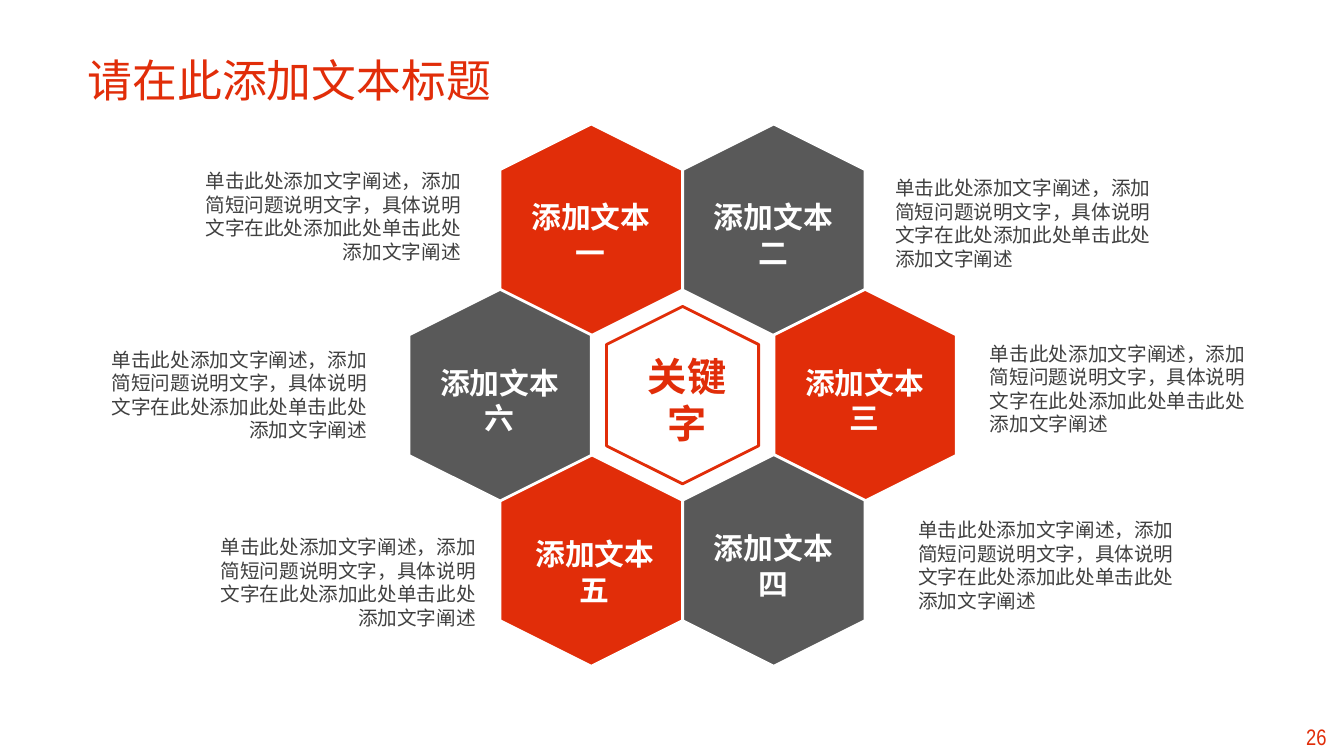
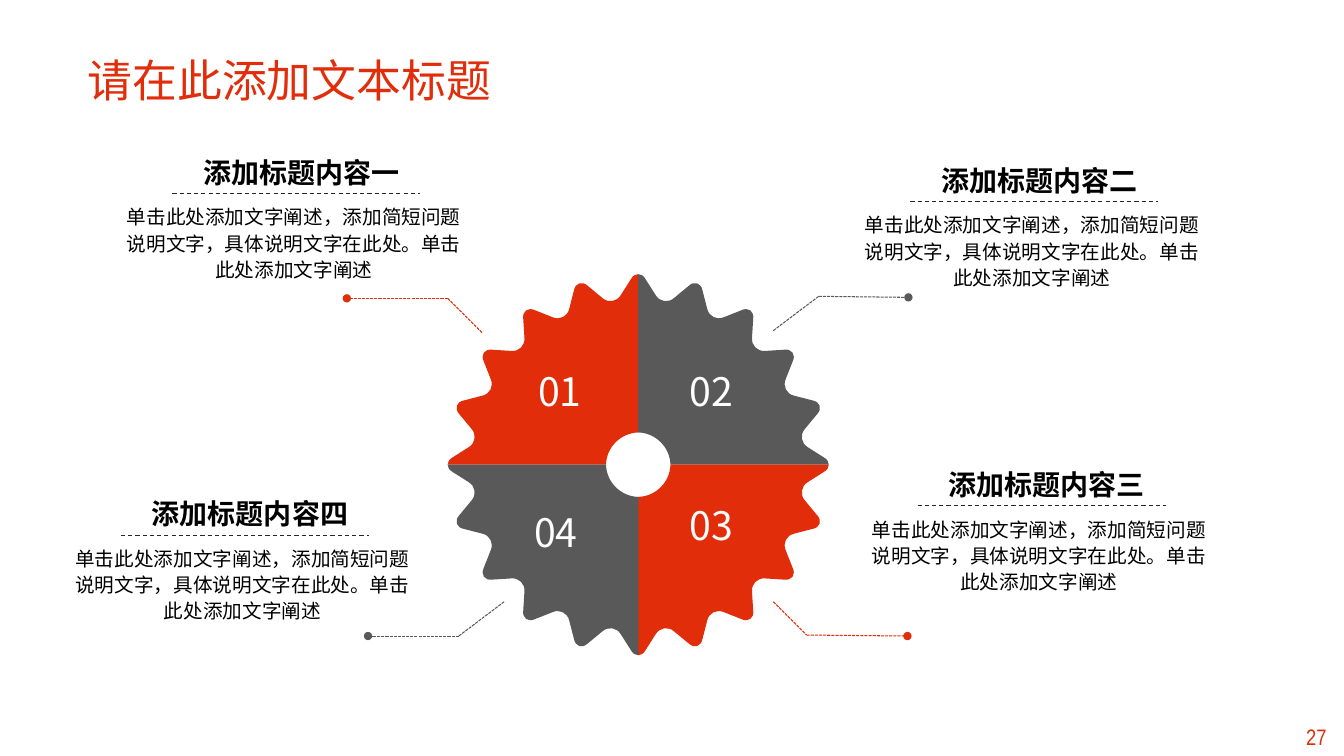
from math import cos, radians, sin

from lxml import etree
from pptx import Presentation
from pptx.dml.color import RGBColor
from pptx.enum.dml import MSO_LINE
from pptx.enum.shapes import MSO_CONNECTOR, MSO_SHAPE
from pptx.enum.text import MSO_AUTO_SIZE, PP_ALIGN
from pptx.oxml.ns import qn
from pptx.util import Inches, Pt

RED = RGBColor(0xE1, 0x2D, 0x09)
GREY = RGBColor(0x59, 0x59, 0x59)
DARK = RGBColor(0x40, 0x40, 0x40)
RULE = RGBColor(0x26, 0x26, 0x26)
BLACK = RGBColor(0, 0, 0)
WHITE = RGBColor(0xFF, 0xFF, 0xFF)

LEFT, CENTER, RIGHT = PP_ALIGN.LEFT, PP_ALIGN.CENTER, PP_ALIGN.RIGHT
DASH, SYS_DASH = MSO_LINE.DASH, MSO_LINE.SQUARE_DOT
RECTANGLE, HEXAGON = MSO_SHAPE.RECTANGLE, MSO_SHAPE.HEXAGON
FONT = "Noto Sans CJK SC"

TITLE = dict(size=32, color=RED)
PAGE = dict(size=16, color=RED, align=CENTER, font="Arial Narrow")
KEYWORD = dict(size=28, color=RED, bold=True, align=CENTER)
HEX_LABEL = dict(size=21.3, color=WHITE, bold=True, align=CENTER)
NOTE = dict(size=14, color=DARK)
HEADING = dict(size=20, color=BLACK, bold=True, align=CENTER, inset=0)
BODY = dict(size=14, color=BLACK, align=CENTER, inset=0, spacing=18.7)
NUMBER = dict(size=28, color=WHITE)


def add_text(s, text, x, y, w, h, size, color, bold=False, align=LEFT,
             font=FONT, inset=None, spacing=None, fill=None):
    """Add a text box, or a filled rectangle with text when a fill is given."""
    box = [Inches(v) for v in (x, y, w, h)]
    if fill is None:
        sp = s.shapes.add_textbox(*box)
    else:
        sp = s.shapes.add_shape(RECTANGLE, *box)
        sp.shadow.inherit = False
        sp.fill.solid()
        sp.fill.fore_color.rgb = fill
        sp.line.fill.background()
    tf = sp.text_frame
    tf.word_wrap = True
    tf.auto_size = MSO_AUTO_SIZE.SHAPE_TO_FIT_TEXT
    if inset is not None:
        for side in ("left", "top", "right", "bottom"):
            setattr(tf, f"margin_{side}", Inches(inset))
    p = tf.paragraphs[0]
    p.alignment = align
    if spacing:
        p.line_spacing = Pt(spacing)
    r = p.add_run()
    r.text = text
    for name, value in dict(name=font, size=Pt(size), bold=bold).items():
        setattr(r.font, name, value)
    r.font.color.rgb = color
    etree.SubElement(r.font._element, qn("a:ea"), typeface=font)


prs = Presentation()
prs.slide_width, prs.slide_height = Inches(13.33), Inches(7.5)
slides = []
for number in ("26", "27"):
    s = prs.slides.add_slide(prs.slide_layouts[6])
    add_text(s, number, 12.78, 7.13, 0.55, 0.37, **PAGE)
    add_text(s, "请在此添加文本标题", 0.77, 0.47, 5.11, 0.64, **TITLE)
    slides.append(s)
honeycomb, gear = slides

# Honeycomb: six hexagons around a keyword
HUB_X, HUB_Y = 6.77, 3.92
HEX_W, HEX_H = 2.1, 1.81
STEP_X, STEP_Y = HEX_H / 2, 1.64
NOTE_TEXT = "单击此处添加文字阐述，添加简短问题说明文字，具体说明文字在此处添加此处单击此处添加文字阐述"

# label, column, row, fill, label offset, note left and top
cells = [
    ("添加文本一", -1, -1, RED, (0, 0), 1.84, 1.63),
    ("添加文本二", 1, -1, GREY, (0, 0), 8.78, 1.7),
    ("添加文本三", 2, 0, RED, (0, 0), 9.72, 3.34),
    ("添加文本四", 1, 1, GREY, (0, 0), 9.01, 5.09),
    ("添加文本五", -1, 1, RED, (0.04, 0.06), 1.99, 5.26),
    ("添加文本六", -2, 0, GREY, (0, 0), 0.91, 3.4),
]
hexagons = [(HUB_X, HUB_Y, 1.76, 1.51, None, RED)]
hexagons += [(HUB_X + col * STEP_X, HUB_Y + row * STEP_Y, HEX_W, HEX_H, fill, WHITE)
             for _, col, row, fill, *_ in cells]
for x, y, w, h, fill, line in hexagons:
    sp = honeycomb.shapes.add_shape(HEXAGON, Inches(x - w / 2), Inches(y - h / 2),
                                    Inches(w), Inches(h))
    sp.rotation = 270
    sp.shadow.inherit = False
    if fill is None:
        sp.fill.background()
    else:
        sp.fill.solid()
        sp.fill.fore_color.rgb = fill
    sp.line.color.rgb = line
    sp.line.width = Pt(2)

add_text(honeycomb, "关键字", 6.21, 3.45, 1.21, 1.04, **KEYWORD)
for label, col, row, fill, (dx, dy), note_x, note_y in cells:
    add_text(honeycomb, label, HUB_X + col * STEP_X - 0.77 + dx,
             HUB_Y + row * STEP_Y - 0.36 + dy, 1.53, 0.82, fill=fill, **HEX_LABEL)
    add_text(honeycomb, NOTE_TEXT, note_x, note_y, 2.83, 1.04,
             align=RIGHT if col < 0 else LEFT, **NOTE)

# Gear: four quarters of five teeth each; outlines in (degrees, radius)
GEAR_X, GEAR_Y, HOLE = 6.33, 4.61, 0.32
PITCH, TEETH = 18, 5
HALF_TIP = [(0, 1.89), (0.7, 1.89), (1.6, 1.88), (2.3, 1.84)]
TIP = [(-2.3, 1.84), (-1.1, 1.91), (1.1, 1.91), (2.3, 1.84)]
VALLEY = [(5.9, 1.69), (7.5, 1.63), (10.5, 1.63), (12.1, 1.69)]
HUB_ARC = [(90, HOLE), (61.1, 0.36), (28.9, 0.36), (0, HOLE)]
BODY_TEXT = "单击此处添加文字阐述，添加简短问题说明文字，具体说明文字在此处。单击此处添加文字阐述"

curves = [HALF_TIP]
for tooth in range(TEETH):
    curves.append([(deg + tooth * PITCH, radius) for deg, radius in VALLEY])
    curves.append([(deg + (tooth + 1) * PITCH, radius) for deg, radius in TIP])
curves[-1] = [(90 - deg, radius) for deg, radius in reversed(HALF_TIP)]
curves.append(HUB_ARC)

# heading, number, start angle, colour, body corner, number corner, leader points
quarters = [
    ("添加标题内容一", "01", 270, RED, (1.18, 2.01), (5.24, 3.59),
     [(4.78, 3.3), (4.44, 2.96), (3.44, 2.96)]),
    ("添加标题内容二", "02", 0, GREY, (8.5, 2.09), (6.74, 3.59),
     [(7.67, 3.28), (8.12, 2.94), (9.01, 2.95)]),
    ("添加标题内容三", "03", 90, RED, (8.57, 5.11), (6.74, 4.92),
     [(7.67, 5.97), (8, 6.3), (9, 6.31)]),
    ("添加标题内容四", "04", 180, GREY, (0.67, 5.4), (5.2, 4.99),
     [(5, 5.97), (4.55, 6.31), (3.65, 6.31)]),
]
for heading, number, start, color, (x, y), (num_x, num_y), (near, elbow, far) in quarters:
    turned = [[(Inches(GEAR_X + radius * sin(radians(start + deg))),
                Inches(GEAR_Y - radius * cos(radians(start + deg))))
               for deg, radius in curve] for curve in curves]
    corners = [corner for curve in turned for corner in (curve[0], curve[-1])]
    builder = gear.shapes.build_freeform(*corners[0])
    builder.add_line_segments(corners[1:])
    sp = builder.convert_to_shape()
    sp.shadow.inherit = False
    sp.fill.solid()
    sp.fill.fore_color.rgb = color
    sp.line.fill.background()
    # Every second segment, from the first on, is a curve
    segments = list(sp._element.iter(qn("a:lnTo")))
    for segment, curve in zip(segments[::2], turned):
        bezier = etree.Element(qn("a:cubicBezTo"))
        for px, py in curve[1:]:
            etree.SubElement(bezier, qn("a:pt"), x=str(px - sp.left), y=str(py - sp.top))
        segment.getparent().replace(segment, bezier)

for heading, number, start, color, (x, y), (num_x, num_y), (near, elbow, far) in quarters:
    add_text(gear, number, num_x, num_y, 0.79, 0.57, **NUMBER)
    add_text(gear, heading, x + 0.74, y - 0.47, 2.14, 0.34, **HEADING)
    add_text(gear, BODY_TEXT, x, y, 3.47, 0.78, **BODY)

    lines = [
        (near, elbow, color, SYS_DASH, False),
        (elbow, far, color, SYS_DASH, True),
        ((x + 0.53, y - 0.09), (x + 2.99, y - 0.09), RULE, DASH, False),
    ]
    for begin, end, line_color, dash, dot in lines:
        cx = gear.shapes.add_connector(MSO_CONNECTOR.STRAIGHT,
                                       *(Inches(v) for v in begin + end))
        cx.line.color.rgb = line_color
        cx.line.width = Pt(0.75)
        cx.line.dash_style = dash
        if dot:
            etree.SubElement(cx.line._get_or_add_ln(), qn("a:tailEnd"), type="oval")
        etree.SubElement(cx._element.spPr, qn("a:effectLst"))

prs.save("out.pptx")
